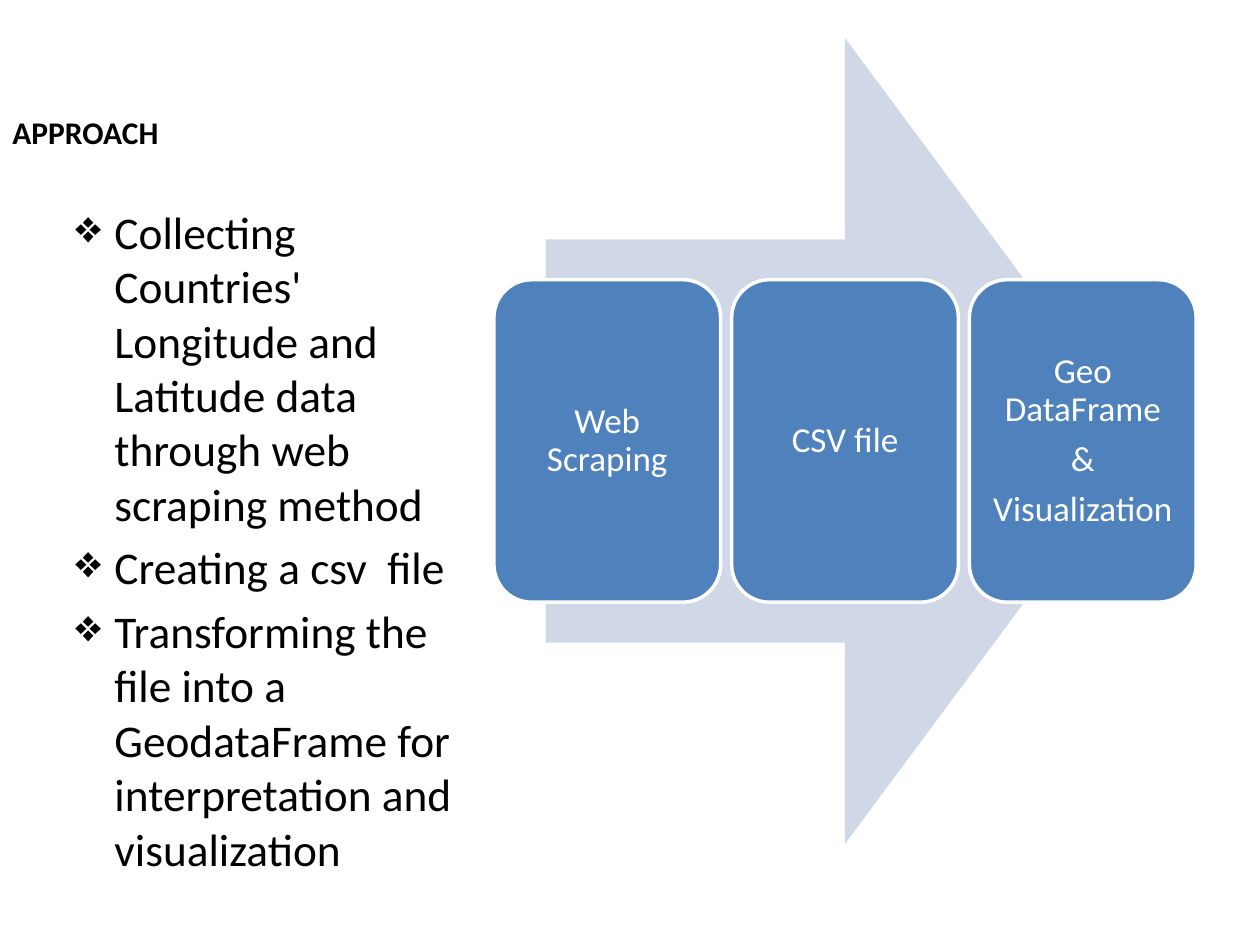
from dataclasses import dataclass
from lxml.etree import SubElement
from pptx import Presentation
from pptx.dml.color import RGBColor
from pptx.enum.shapes import MSO_SHAPE
from pptx.enum.text import MSO_ANCHOR, PP_ALIGN
from pptx.oxml.ns import qn
from pptx.slide import Slide
from pptx.util import Inches, Pt

COLUMNS, ROWS = 100, 75


def color(value):
    return RGBColor.from_string(value)


@dataclass
class Deck:
    slide: Slide
    width: int
    height: int
    font: str = "Calibri"
    ink: str = "000000"
    paper: str = "FFFFFF"
    step_fill: str = "4F81BD"
    arrow_fill: str = "D0D8E8"

    def place(self, left, top, columns, rows):
        across, down = self.width / COLUMNS, self.height / ROWS
        return [round(n) for n in (left * across, top * down, columns * across, rows * down)]

    def set_lines(self, frame, lines, size, ink, bold=False):
        frame.word_wrap = True
        frame.text = "\n".join(lines)
        for paragraph in frame.paragraphs:
            for run in paragraph.runs:
                run.font.name = self.font
                run.font.size = Pt(size)
                run.font.bold = bold
                run.font.color.rgb = color(ink)
        return frame.paragraphs

    def heading(self, area, text):
        box = self.slide.shapes.add_textbox(*self.place(*area))
        self.set_lines(box.text_frame, [text], 18, self.ink, bold=True)

    def bullets(self, area, items, size=25.9, indent=0.31):
        box = self.slide.shapes.add_textbox(*self.place(*area))
        for paragraph in self.set_lines(box.text_frame, items, size, self.ink):
            paragraph.space_before = Pt(round(size * 0.2, 1))
            properties = paragraph._p.get_or_add_pPr()
            properties.set("marL", str(Inches(indent)))
            properties.set("indent", str(-Inches(indent)))
            SubElement(properties, qn("a:buChar"), char="❖")

    def block(self, kind, area, fill):
        shape = self.slide.shapes.add_shape(kind, *self.place(*area))
        shape.shadow.inherit = False
        shape.fill.solid()
        shape.fill.fore_color.rgb = color(fill)
        return shape

    def arrow(self, area):
        self.block(MSO_SHAPE.RIGHT_ARROW, area, self.arrow_fill).line.fill.background()

    def step(self, area, lines, size=20):
        card = self.block(MSO_SHAPE.ROUNDED_RECTANGLE, area, self.step_fill)
        card.line.color.rgb = color(self.paper)
        card.line.width = Pt(2)
        frame = card.text_frame
        frame.vertical_anchor = MSO_ANCHOR.MIDDLE
        frame.margin_left = frame.margin_right = Inches(0.08)
        frame.margin_top = frame.margin_bottom = Inches(0.08)
        for paragraph in self.set_lines(frame, lines, size, self.paper):
            paragraph.alignment = PP_ALIGN.CENTER
            paragraph.line_spacing = 0.9
            paragraph.space_after = Pt(size * 0.35)


def main():
    presentation = Presentation()
    presentation.slide_width, presentation.slide_height = Inches(10), Inches(7.5)
    slide = presentation.slides.add_slide(presentation.slide_layouts[6])
    deck = Deck(slide, presentation.slide_width, presentation.slide_height)

    deck.heading((0, 8.5, 32.9, 4), "APPROACH")
    deck.arrow((43.3, 3, 47.5, 64))

    steps = [["Web Scraping"], ["CSV file"], ["Geo DataFrame", "&", "Visualization"]]
    step_width, step_gap = 18, 0.87
    for index, lines in enumerate(steps):
        left = 39.2 + index * (step_width + step_gap)
        deck.step((left, 22.2, step_width, 25.6), lines)

    deck.bullets((5, 15.7, 32.9, 51.3), [
        "Collecting Countries' Longitude and Latitude data through web scraping method",
        "Creating a csv  file",
        "Transforming the file into a GeodataFrame for interpretation and visualization",
    ])
    presentation.save("out.pptx")


if __name__ == "__main__":
    main()
